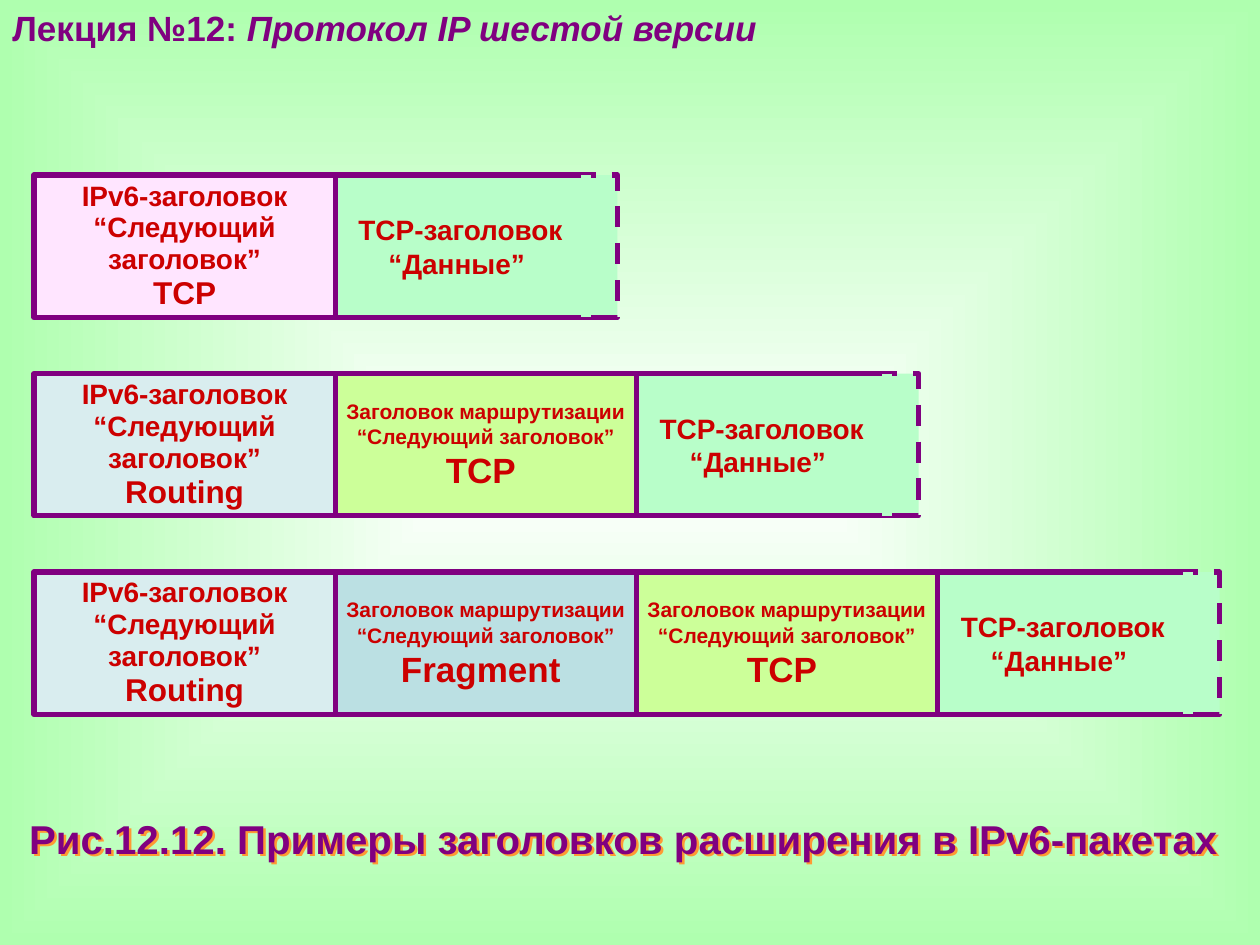
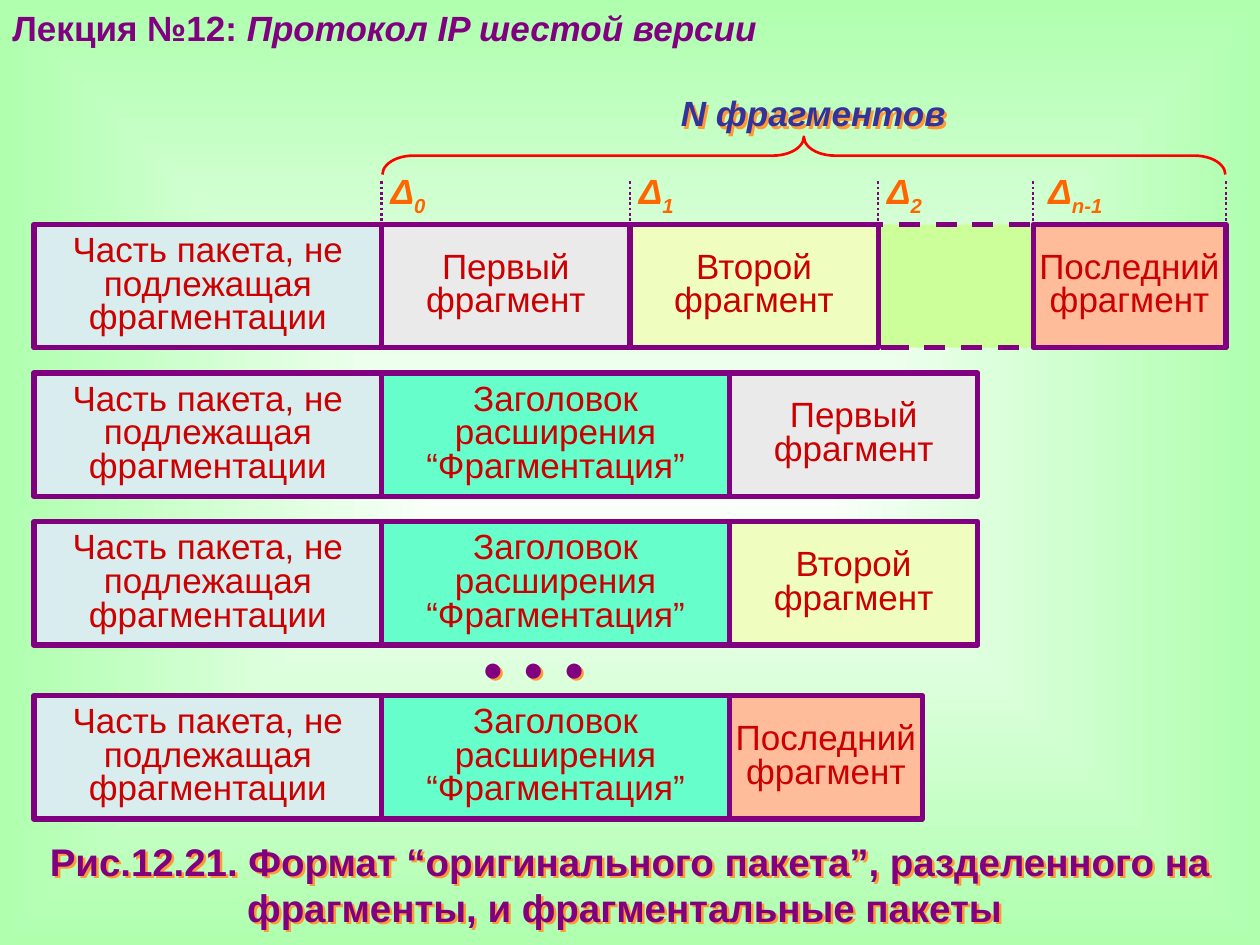
"""Build two lecture slides on IPv6 extension headers and packet fragmentation."""
from dataclasses import dataclass

from lxml import etree
from pptx import Presentation
from pptx.dml.color import RGBColor
from pptx.enum.dml import MSO_LINE
from pptx.enum.shapes import MSO_CONNECTOR, MSO_SHAPE
from pptx.enum.text import MSO_ANCHOR, PP_ALIGN
from pptx.oxml import parse_xml
from pptx.oxml.ns import nsdecls, qn
from pptx.util import Inches, Pt

RECTANGLE, BRACE = MSO_SHAPE.RECTANGLE, MSO_SHAPE.RIGHT_BRACE
STRAIGHT = MSO_CONNECTOR.STRAIGHT
DASH, DOTS = MSO_LINE.DASH, MSO_LINE.ROUND_DOT
LEFT, CENTER = PP_ALIGN.LEFT, PP_ALIGN.CENTER
TOP, MIDDLE = MSO_ANCHOR.TOP, MSO_ANCHOR.MIDDLE


@dataclass(frozen=True)
class Theme:
    font: str = "Arial"
    purple: str = "800080"
    red: str = "CC0000"
    orange: str = "FF6600"
    navy: str = "333399"
    brace: str = "FF0000"
    shadow: str = "FF9933"
    page_center: str = "FFFFFF"
    page_edge: str = "AFFFAF"
    mint: str = "B8FEC9"
    pink: str = "FFE5FF"
    ice: str = "D9EDEF"
    blue: str = "BBE0E3"
    lime: str = "CCFF99"
    aqua: str = "66FFCC"
    gray: str = "EAEAEA"
    cream: str = "EFFEBE"
    peach: str = "FFBC9B"
    large: float = 20
    result: float = 18
    label: float = 16
    small: float = 12
    border: float = 3
    thin: float = 1.5
    cover: float = 6


theme = Theme()


def add_box(page, at, parts="", *, fill=None, dash=None, size=theme.large,
            color=theme.red, bold=False, italic=False, align=CENTER, anchor=MIDDLE,
            spacing=None, margin=0, shadow=False):
    place = [Inches(value) for value in at]
    if fill:
        box = page.shapes.add_shape(RECTANGLE, *place)
        box.shadow.inherit = False
        box.fill.solid()
        box.fill.fore_color.rgb = RGBColor.from_string(fill)
        box.line.color.rgb = RGBColor.from_string(theme.purple)
        box.line.width = Pt(theme.border)
        box.line.dash_style = dash
    else:
        box = page.shapes.add_textbox(*place)
    if shadow:
        box._element.spPr.append(parse_xml(
            f'<a:effectLst {nsdecls("a")}><a:outerShdw dist="25400" dir="2700000" algn="ctr">'
            f'<a:srgbClr val="{theme.shadow}"/></a:outerShdw></a:effectLst>'))
    frame = box.text_frame
    frame.word_wrap = True
    frame.vertical_anchor = anchor
    frame.margin_left = frame.margin_right = Inches(margin)
    frame.margin_top = frame.margin_bottom = Inches(margin / 2)
    para = frame.paragraphs[0]
    for words, changes in [(parts, {})] if isinstance(parts, str) else parts:
        for index, line in enumerate(words.split("\n")):
            if index:
                para = frame.add_paragraph()
            para.alignment = align
            para.line_spacing = spacing
            if not line:
                continue
            span = para.add_run()
            span.text = line
            span.font.name = theme.font
            span.font.size = Pt(changes.get("size", size))
            span.font.bold = bold
            span.font.italic = changes.get("italic", italic)
            span.font.color.rgb = RGBColor.from_string(color)
            for name in ("baseline", "spc"):
                if name in changes:
                    span._r.get_or_add_rPr().set(name, str(changes[name]))
    return box


def add_vertical(page, x, top, bottom, color, width, dash=None):
    line = page.shapes.add_connector(
        STRAIGHT, Inches(x), Inches(top), Inches(x), Inches(bottom))
    line.line.color.rgb = RGBColor.from_string(color)
    line.line.width = Pt(width)
    line.line.dash_style = dash
    etree.SubElement(line._element.spPr, qn("a:effectLst"))


deck = Presentation()
deck.slide_width, deck.slide_height = Inches(10), Inches(7.5)

backdrop = deck.slide_master.background.fill
backdrop.gradient()
for stop, color in zip(backdrop.gradient_stops, (theme.page_center, theme.page_edge)):
    stop.color.rgb = RGBColor.from_string(color)
gradient = deck.slide_master.element.find(".//" + qn("a:gradFill"))
gradient.replace(gradient.find(qn("a:lin")), parse_xml(
    f'<a:path {nsdecls("a")} path="shape">'
    '<a:fillToRect l="50000" t="50000" r="50000" b="50000"/></a:path>'))

captions = [
    ("Рис.12.12. Примеры заголовков расширения в IPv6-пакетах ", 6.41, 0.48, 23),
    ("Рис.12.21. Формат “оригинального пакета”, разделенного на фрагменты, "
     "и фрагментальные пакеты ", 6.6, 0.83, 22),
]
pages = []
for caption, top, height, size in captions:
    page = deck.slides.add_slide(deck.slide_layouts[6])
    add_box(page, (0, 0, 6.38, 0.43),
            [("Лекция №12: ", {}), ("Протокол IP шестой версии", {"italic": True})],
            color=theme.purple, bold=True, align=LEFT, anchor=TOP, margin=0.1)
    add_box(page, (0, top, 10, height), caption, size=size, color=theme.purple,
            bold=True, anchor=TOP, margin=0.1, shadow=True)
    pages.append(page)
header_page, fragment_page = pages

row_left = 0.27
header_width, data_width, tail_width, header_height = 2.39, 1.99, 0.25, 1.13
header_rows = [
    [("ТСР", theme.pink)],
    [("Routing", theme.ice), ("ТСР ", theme.lime)],
    [("Routing", theme.ice), ("Fragment ", theme.blue), ("ТСР ", theme.lime)],
]
for row, headers in enumerate(header_rows):
    top = 1.39 + 1.575 * row
    for column, (next_header, fill) in enumerate(headers):
        at = (row_left + column * header_width, top, header_width, header_height)
        if column == 0:
            add_box(header_page, at,
                    [("IPv6-заголовок\n“Следующий заголовок”\n", {}),
                     (next_header, {"size": theme.result})],
                    fill=fill, size=theme.label, bold=True, spacing=0.95)
        else:
            add_box(header_page, at,
                    [("Заголовок маршрутизации\n“Следующий заголовок”\n", {}),
                     (next_header, {"size": theme.large})],
                    fill=fill, size=theme.small, bold=True)
    data_left = row_left + len(headers) * header_width
    tail_left = data_left + data_width
    add_box(header_page, (data_left, top, data_width, header_height),
            "ТСР-заголовок\n“Данные” ", fill=theme.mint, size=theme.label, bold=True)
    add_box(header_page, (tail_left, top, tail_width, header_height),
            fill=theme.mint, dash=DASH)
    add_vertical(header_page, tail_left, top, top + header_height, theme.mint, theme.cover)

part_height, fragments_top = 0.98, 1.78
fixed = ("Часть пакета, не подлежащая фрагментации", 2.76, theme.ice)
extension = ("Заголовок расширения “Фрагментация”", 2.76, theme.aqua)
first = ("Первый\nфрагмент", 1.97, theme.gray)
second = ("Второй\nфрагмент", 1.97, theme.cream)
last = ("Последний\nфрагмент", 1.53, theme.peach)
gap = (None, 1.23, None)
packet_rows = [
    (fragments_top, [fixed, first, second, gap, last]),
    (2.96, [fixed, extension, first]),
    (4.14, [fixed, extension, second]),
    (5.52, [fixed, extension, last]),
]
edges = [3.03, 5, 6.97, 8.2, 9.73]
for edge in edges:
    add_vertical(fragment_page, edge, 1.44, 2.03, theme.purple, theme.thin, DOTS)
add_box(fragment_page, (6.03, fragments_top, 2.26, part_height), fill=theme.lime, dash=DASH)
for top, packet in packet_rows:
    left = row_left
    for words, width, fill in packet:
        if words:
            add_box(fragment_page, (left, top, width, part_height), words,
                    fill=fill, spacing=0.8)
        left += width

for edge, index, width in zip(edges, ("0", "1", "2", "n-1"), (0.44, 0.44, 0.44, 0.69)):
    offset = 0.12 if index == "n-1" else 0.07
    add_box(fragment_page, (edge + offset, 1.29, width, 0.49),
            [("Δ", {}), (index, {"baseline": -25000})],
            color=theme.orange, bold=True, italic=True, align=LEFT)
add_box(fragment_page, (3.47, 5.13, 1.53, 0.39), [("● ● ●", {"spc": 278})],
        color=theme.purple, spacing=0.8, shadow=True)
add_box(fragment_page, (5.3, 0.65, 2.31, 0.49), "N фрагментов",
        color=theme.navy, bold=True, italic=True, shadow=True)

brace = fragment_page.shapes.add_shape(
    BRACE, Inches(6.23), Inches(-2.11), Inches(0.3), Inches(6.69))
brace.rotation = 270
brace.adjustments[0], brace.adjustments[1] = 0.82, 0.5
brace.shadow.inherit = False
brace.fill.background()
brace.line.color.rgb = RGBColor.from_string(theme.brace)
brace.line.width = Pt(theme.thin)

deck.save("out.pptx")
